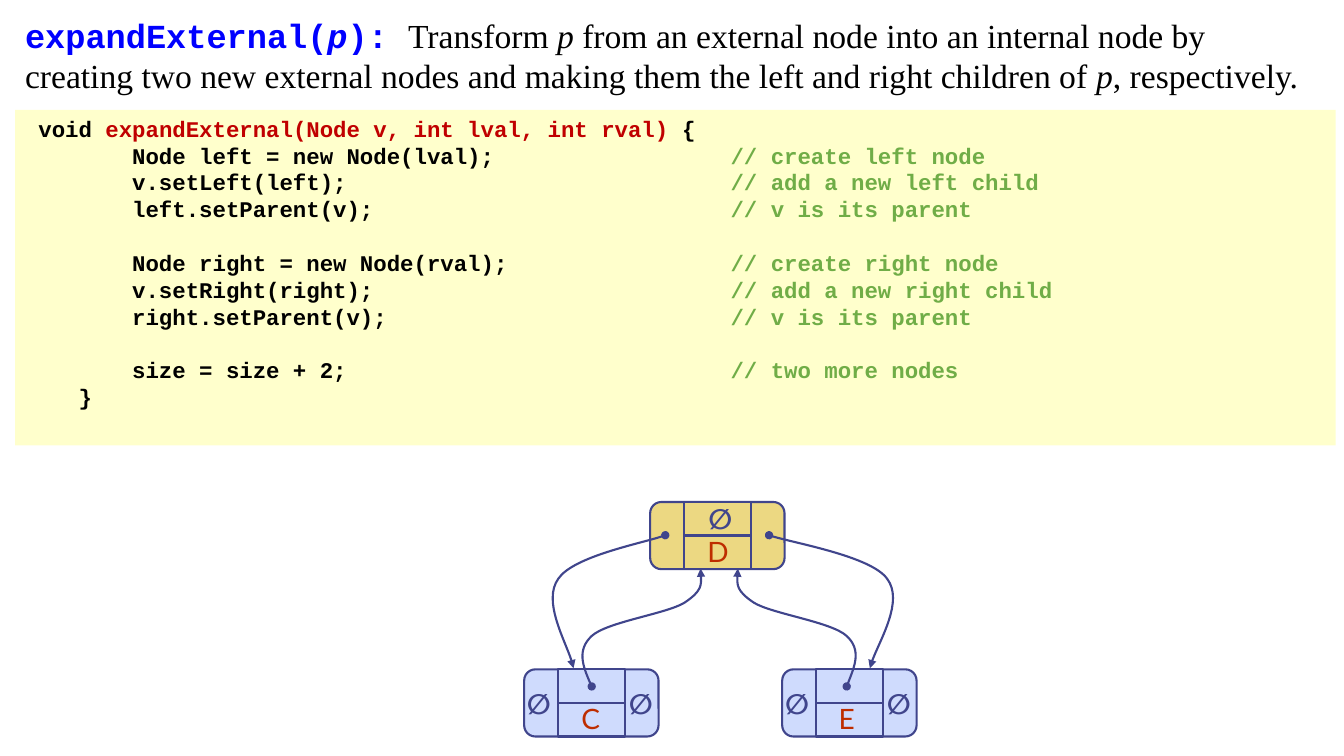
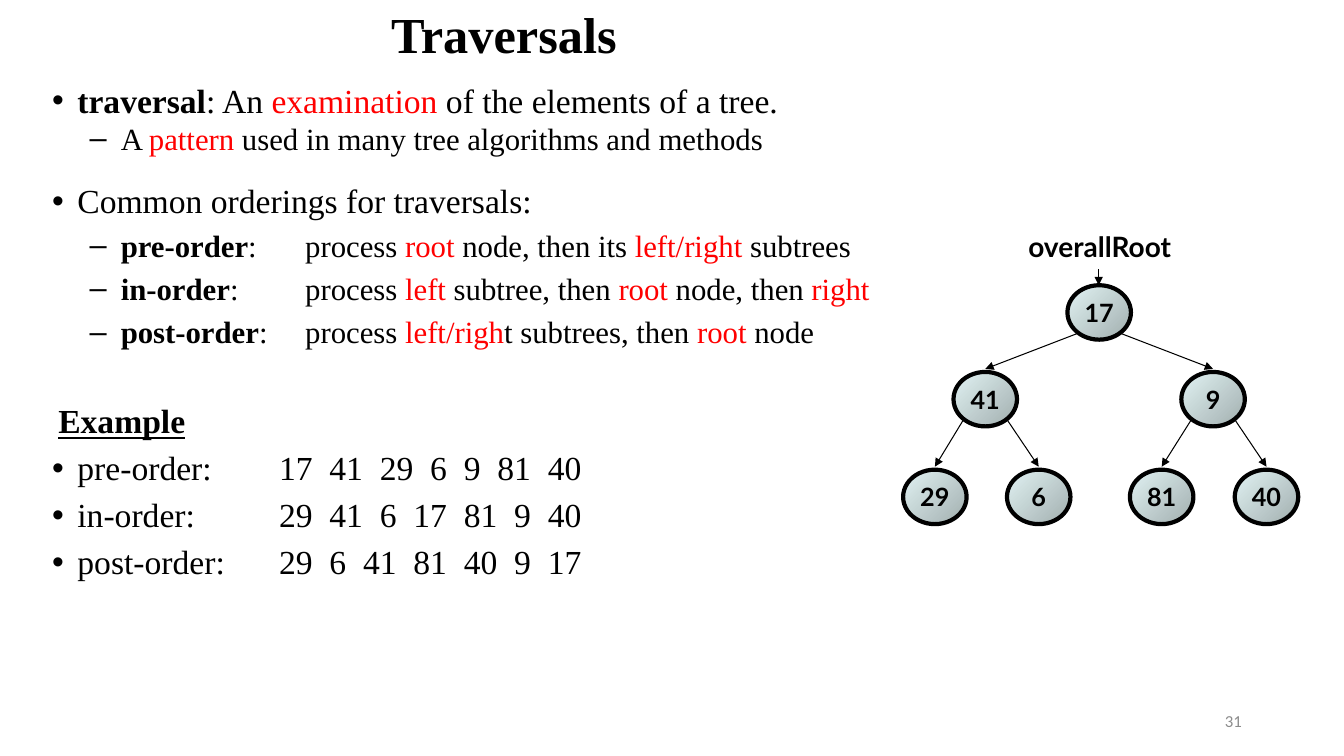
from lxml.etree import SubElement
from pptx import Presentation
from pptx.dml.color import RGBColor
from pptx.enum.shapes import MSO_CONNECTOR, MSO_SHAPE
from pptx.enum.text import MSO_ANCHOR, PP_ALIGN
from pptx.oxml.ns import qn
from pptx.util import Inches, Pt

BLACK = RGBColor(0x00, 0x00, 0x00)
RED = RGBColor(0xFF, 0x00, 0x00)
BLUE = RGBColor(0x00, 0x00, 0xFF)
DARK_RED = RGBColor(0xC0, 0x00, 0x00)
GREEN = RGBColor(0x70, 0xAD, 0x47)
PALE_YELLOW = RGBColor(0xFF, 0xFF, 0xCC)
GOLD = RGBColor(0xEC, 0xD8, 0x82)
PALE_BLUE = RGBColor(0xCF, 0xDB, 0xFD)
INDIGO = RGBColor(0x40, 0x45, 0x8C)
RUST = RGBColor(0xBE, 0x2D, 0x00)
GRAY = RGBColor(0x8C, 0x8C, 0x8C)
MINT = RGBColor(0xE1, 0xF2, 0xF3)
STEEL = RGBColor(0xA2, 0xAF, 0xAF)

SERIF, MONO, SANS, FOOTER = "Times New Roman", "Courier New", "Lato", "Calibri"


def write(para, spans, font, size):
    """Add spans of (text, colour, style); style holds any of b, i, u."""
    for text, color, style in spans:
        span = para.add_run()
        span.text = text
        span.font.name = font
        span.font.size = Pt(size)
        span.font.color.rgb = color
        span.font.bold = "b" in style
        span.font.italic = "i" in style
        span.font.underline = "u" in style


def add_label(slide, at, span, font, size, align=PP_ALIGN.CENTER,
              anchor=MSO_ANCHOR.TOP, wrap=True):
    """Add a text box that holds one aligned span."""
    box = slide.shapes.add_textbox(*map(Inches, at))
    box.text_frame.word_wrap = wrap
    box.text_frame.vertical_anchor = anchor
    para = box.text_frame.paragraphs[0]
    para.alignment = align
    write(para, [span], font, size)


deck = Presentation()
deck.slide_width, deck.slide_height = Inches(40 / 3), Inches(7.5)
blank = deck.slide_layouts[6]
lines = []  # (shape, colour, width, head, tail), styled at the end

# Slide 1: expandExternal
slide = deck.slides.add_slide(blank)

CODE = [
    ("        Node left = new Node(lval);", "// create left node"),
    ("        v.setLeft(left);", "// add a new left child"),
    ("        left.setParent(v);", "// v is its parent"),
    ("", ""),
    ("        Node right = new Node(rval);", "// create right node"),
    ("        v.setRight(right);", "// add a new right child"),
    ("        right.setParent(v);", "// v is its parent"),
    ("", ""),
    ("        size = size + 2;", "// two more nodes"),
    ("    }", ""),
]
panel = slide.shapes.add_shape(MSO_SHAPE.RECTANGLE, Inches(0.15), Inches(1.09),
                               Inches(13.1), Inches(3.33))
panel.shadow.inherit = False
panel.fill.solid()
panel.fill.fore_color.rgb = PALE_YELLOW
panel.line.fill.background()
frame = panel.text_frame
frame.word_wrap = True
frame.vertical_anchor = MSO_ANCHOR.TOP
para = frame.paragraphs[0]
para.alignment = PP_ALIGN.LEFT
write(para, [(" void ", BLACK, "b"),
             ("expandExternal(Node v, int lval, int rval) ", DARK_RED, "b"),
             ("{", BLACK, "b")], MONO, 16)
for code, comment in CODE:
    para = frame.add_paragraph()
    para.alignment = PP_ALIGN.LEFT
    tabs = SubElement(para._p.get_or_add_pPr(), qn("a:tabLst"))
    SubElement(tabs, qn("a:tab"), pos=str(Inches(7)), algn="l")
    para.font.size = Pt(16)
    para.font.name = MONO
    if comment:
        write(para, [(code + "\t", BLACK, "b"), (comment, GREEN, "b")], MONO, 16)
    elif code:
        write(para, [(code, BLACK, "b")], MONO, 16)

box = slide.shapes.add_textbox(Inches(0.15), Inches(0.1), Inches(12.95), Inches(0.91))
box.text_frame.word_wrap = True
para = box.text_frame.paragraphs[0]
write(para, [("expandExternal(", BLUE, "b"), ("p", BLUE, "bi"), ("): ", BLUE, "b")], MONO, 24)
write(para, [
    ("Transform ", BLACK, ""), ("p ", BLACK, "i"),
    ("from an external node into an internal node by creating two new external nodes "
     "and making them the left and right children of ", BLACK, ""),
    ("p", BLACK, "i"), (", respectively.", BLACK, "")], SERIF, 24)

# Each linked node: left, top, fill, value, offset of the value,
# offsets of its empty-link signs
CELL = 2 / 3
SIDES = [(-0.07, 0.12), (0.94, 0.12)]
LINKED_NODES = [
    (6.45, 4.98, GOLD, "D", 0.47, [(0.48, -0.05)]),
    (5.2, 6.64, PALE_BLUE, "C", 0.46, SIDES),
    (7.76, 6.64, PALE_BLUE, "E", 0.44, SIDES),
]
for left, top, fill, value, value_dx, empties in LINKED_NODES:
    for kind, x, width in [(MSO_SHAPE.ROUNDED_RECTANGLE, left, 2 * CELL),
                           (MSO_SHAPE.RECTANGLE, left + CELL / 2, CELL)]:
        shape = slide.shapes.add_shape(kind, Inches(x), Inches(top),
                                       Inches(width), Inches(CELL))
        shape.shadow.inherit = False
        shape.fill.solid()
        shape.fill.fore_color.rgb = fill
        shape.line.color.rgb = INDIGO
        shape.line.width = Pt(1.5)
    middle = Inches(top + CELL / 2)
    divider = slide.shapes.add_connector(
        MSO_CONNECTOR.STRAIGHT, Inches(left + CELL / 2), middle,
        Inches(left + 1.5 * CELL), middle)
    lines.append((divider, INDIGO, 1.5, None, None))
    for dx, dy in empties:
        add_label(slide, (left + dx, top + dy, 0.43, 0.43),
                  ("∅", INDIGO, "b"), SANS, 20, wrap=False)
    add_label(slide, (left + value_dx, top + 0.27, 0.4, 0.43),
              (value, RUST, ""), SANS, 20, wrap=False)

# Links as chains of cubic curves: a start, then three points a curve
LINKS = [
    [(8.4, 6.81), (8.47, 6.63), (8.55, 6.45), (8.4, 6.31), (8.25, 6.17),
     (7.66, 6.09), (7.48, 5.98), (7.3, 5.86), (7.31, 5.75), (7.32, 5.64)],
    [(5.87, 6.81), (5.79, 6.63), (5.72, 6.45), (5.87, 6.31), (6.02, 6.17),
     (6.61, 6.09), (6.79, 5.98), (6.97, 5.86), (6.96, 5.75), (6.95, 5.64)],
    [(7.63, 5.31), (7.83, 5.38), (8.64, 5.52), (8.8, 5.74),
     (8.97, 5.96), (8.67, 6.45), (8.63, 6.63)],
    [(6.6, 5.31), (6.42, 5.38), (5.69, 5.52), (5.54, 5.74),
     (5.38, 5.96), (5.66, 6.45), (5.69, 6.63)],
]
for link in LINKS:
    start, *rest = [tuple(map(Inches, point)) for point in link]
    builder = slide.shapes.build_freeform(*start)
    builder.add_line_segments(rest, close=False)
    curve = builder.convert_to_shape()
    segments = list(curve._element.iter(qn("a:lnTo")))
    outline = segments[0].getparent()
    for first in range(0, len(segments), 3):
        bezier = SubElement(outline, qn("a:cubicBezTo"))
        for segment in segments[first:first + 3]:
            bezier.append(segment[0])
            outline.remove(segment)
    curve.fill.background()
    lines.append((curve, INDIGO, 1.5, "oval", "triangle"))

# Slide 2: Traversals
slide = deck.slides.add_slide(blank)
add_label(slide, (9.42, 6.95, 3, 0.4), ("31", GRAY, ""), FOOTER, 12,
          PP_ALIGN.RIGHT, MSO_ANCHOR.MIDDLE)
add_label(slide, (0.5, 0, 9, 0.66), ("Traversals", BLACK, "b"), SERIF, 36,
          anchor=MSO_ANCHOR.MIDDLE)

# Each kind of paragraph: level, margin, indent, bullet, size
TOP = (0, 0.25, -0.25, "•", 24)
SUB = (1, 0.68, -0.31, "–", 22)
HEAD = (1, 0.06, 0, None, 24)
DIGIT = 1 / 6  # width of a 24 pt digit, and of the gap between numbers

# Each paragraph: kind, space before, space after, tab stops, spans
paragraphs = [
    (TOP, 0, 0, [], [("traversal", BLACK, "b"), (": An ", BLACK, ""),
                     ("examination", RED, ""),
                     (" of the elements of a tree.", BLACK, "")]),
    (SUB, 0, 12, [], [("A ", BLACK, ""), ("pattern", RED, ""),
                      (" used in many tree algorithms and methods", BLACK, "")]),
    (TOP, 4.8, 0, [], [("Common orderings for traversals:", BLACK, "")]),
    (SUB, 4.4, 0, [2.51], [("pre-order", BLACK, "b"), (":\tprocess ", BLACK, ""),
                           ("root ", RED, ""), ("node, then its ", BLACK, ""),
                           ("left/right", RED, ""), (" subtrees", BLACK, "")]),
    (SUB, 4.4, 0, [2.51], [("in-order", BLACK, "b"), (":\tprocess ", BLACK, ""),
                           ("left", RED, ""), (" subtree, then ", BLACK, ""),
                           ("root", RED, ""), (" node, then ", BLACK, ""),
                           ("right", RED, "")]),
    (SUB, 4.4, 0, [2.51], [("post-order", BLACK, "b"), (":\tprocess ", BLACK, ""),
                           ("left/righ", RED, ""), ("t subtrees, then ", BLACK, ""),
                           ("root", RED, ""), (" node", BLACK, "")]),
    (HEAD, 36, 0, [], [("Example", BLACK, "bu")]),
]
for name, order in [("pre-order:", [17, 41, 29, 6, 9, 81, 40]),
                    ("in-order:", [29, 41, 6, 17, 81, 9, 40]),
                    ("post-order:", [29, 6, 41, 81, 40, 9, 17])]:
    numbers = [str(number) for number in order]
    stops = [2.25]
    for number in numbers[:-1]:
        stops.append(stops[-1] + DIGIT * (len(number) + 1))
    paragraphs.append((TOP, 4.8, 0, stops, [("\t".join([name] + numbers), BLACK, "")]))

box = slide.shapes.add_textbox(Inches(0.42), Inches(0.74), Inches(9.83), Inches(5.67))
frame = box.text_frame
frame.word_wrap = True
for index, (kind, before, after, stops, spans) in enumerate(paragraphs):
    level, margin, indent, bullet, size = kind
    para = frame.add_paragraph() if index else frame.paragraphs[0]
    para.level = level
    props = para._p.get_or_add_pPr()
    props.set("marL", str(Inches(margin)))
    props.set("indent", str(Inches(indent)))
    if bullet:
        SubElement(props, qn("a:buFont"), typeface="Arial")
        SubElement(props, qn("a:buChar"), char=bullet)
    if stops:
        tabs = SubElement(props, qn("a:tabLst"))
        for stop in stops:
            SubElement(tabs, qn("a:tab"), pos=str(Inches(stop)), algn="l")
    para.space_before = Pt(before)
    para.space_after = Pt(after)
    write(para, spans, SERIF, size)

# The tree: left and top of each node, then the two children of each parent
NODE_WIDTH, NODE_HEIGHT = 0.63, 0.54
TREE = {17: (10.59, 2.83), 41: (9.46, 3.69), 9: (11.72, 3.69), 29: (8.96, 4.66),
        6: (9.99, 4.66), 81: (11.21, 4.66), 40: (12.25, 4.66)}
CHILDREN = {17: (41, 9), 41: (29, 6), 9: (81, 40)}
for value, (left, top) in TREE.items():
    node = slide.shapes.add_shape(MSO_SHAPE.OVAL, Inches(left), Inches(top),
                                  Inches(NODE_WIDTH), Inches(NODE_HEIGHT))
    node.shadow.inherit = False
    node.fill.gradient()
    node.fill.gradient_angle = 315
    for stop, color in zip(node.fill.gradient_stops, (MINT, STEEL)):
        stop.color.rgb = color
    node.line.color.rgb = BLACK
    node.line.width = Pt(3)
    node.text_frame.word_wrap = False
    node.text_frame.vertical_anchor = MSO_ANCHOR.MIDDLE
    para = node.text_frame.paragraphs[0]
    para.alignment = PP_ALIGN.CENTER
    write(para, [(str(value), BLACK, "b")], SANS, 18)

add_label(slide, (9.98, 2.23, 1.86, 0.44), ("overallRoot", BLACK, "b"), SANS, 20)
arrows = [(10.9, 2.67, 10.9, 2.83)]
for parent, children in CHILDREN.items():
    left, top = TREE[parent]
    for child, side in zip(children, (-0.22, 0.22)):
        child_left, child_top = TREE[child]
        arrows.append((left + NODE_WIDTH / 2 + side, top + 0.48,
                       child_left + NODE_WIDTH / 2, child_top - 0.03))
for arrow in arrows:
    edge = slide.shapes.add_connector(MSO_CONNECTOR.STRAIGHT, *map(Inches, arrow))
    lines.append((edge, BLACK, 0.75, None, "triangle"))

# Line colours, widths and ends
for shape, color, width, head, tail in lines:
    shape.line.color.rgb = color
    shape.line.width = Pt(width)
    props = shape._element.spPr
    for tag, end in (("a:headEnd", head), ("a:tailEnd", tail)):
        if end:
            SubElement(props.find(qn("a:ln")), qn(tag), type=end)
    SubElement(props, qn("a:effectLst"))

deck.save("out.pptx")
